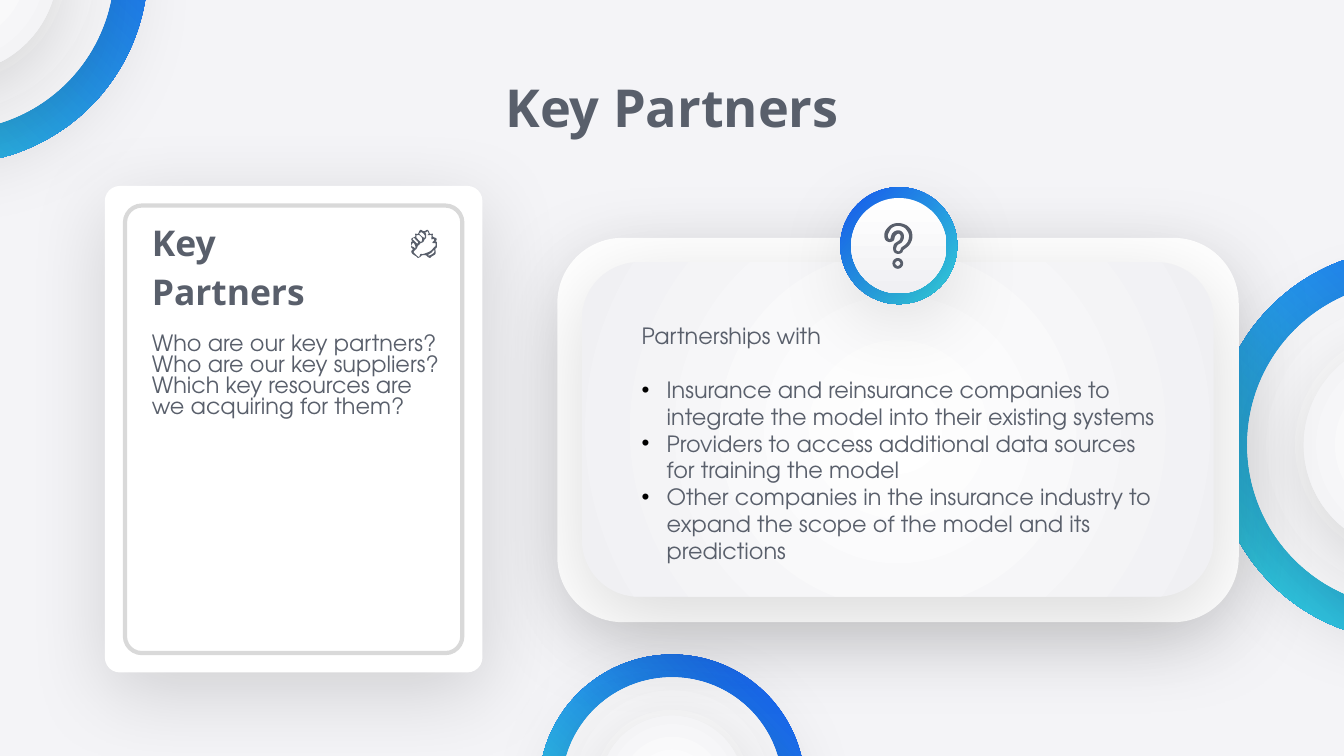
from dataclasses import dataclass

import pptx
import pptx.dml.color
import pptx.enum.shapes
import pptx.enum.text
import pptx.oxml
import pptx.oxml.ns
import pptx.util

Pt = pptx.util.Pt
MSO = pptx.enum.shapes.MSO_SHAPE
qn = pptx.oxml.ns.qn
NS = pptx.oxml.ns.nsdecls("a")


@dataclass(frozen=True)
class Theme:
    ink: str = "595F6B"
    page: str = "F4F4F7"
    white: str = "FFFFFF"
    frame: str = "D9D9D9"
    bullet: str = "000000"
    ring: tuple = ("1658F1", "36DBE0")
    soft: tuple = ("FFFFFF", "F0F0F3")
    heading: str = "Noto Sans"
    body: str = "TeX Gyre Adventor"
    title_size: float = 28
    card_size: float = 19
    body_size: float = 12


@dataclass(frozen=True)
class Box:
    x: float
    y: float
    w: float
    h: float

    def emu(self) -> tuple:
        return Pt(self.x), Pt(self.y), Pt(self.w), Pt(self.h)


@dataclass(frozen=True)
class Ring:
    cx: float
    cy: float
    diameters: tuple  # coloured rim, face, core


@dataclass(frozen=True)
class Icon:
    x: float
    y: float
    contours: tuple  # closed outlines on a grid of GRID points


THEME = Theme()
GRID = 0.72
RINGS = (
    Ring(-25.92, -17.28, (210.24, 174.24, 113.76)),
    Ring(755.28, 238.32, (210.24, 174.24, 113.76)),
    Ring(360, 421.92, (142.56, 118.08, 77.04)),
)
CARD = Box(56.16, 99.6, 202.32, 260.64)
CARD_FRAME = Box(66.96, 110.16, 180.72, 239.76)
PANEL = Box(298.6, 127.44, 365.04, 205.92)
PANEL_FACE = Box(311.76, 140.4, 338.4, 179.28)
BADGE = Box(450.2, 100.3, 62.64, 62.64)
BADGE_FACE = Box(455.96, 106.06, 51.12, 51.12)

HANDS = Icon(219.6, 123.12, (
    ((8, 0), (7, 1), (6, 3), (4, 3), (4, 5), (2, 6), (1, 7), (2, 9), (1, 9), (1, 13),
     (2, 14), (2, 15), (1, 16), (2, 18), (5, 20), (6, 21), (8, 20), (9, 19), (12, 19),
     (13, 20), (15, 21), (16, 20), (19, 18), (19, 15), (19, 14), (20, 13), (20, 9),
     (19, 9), (20, 7), (19, 6), (17, 5), (17, 3), (15, 3), (14, 1), (13, 0), (11, 1), (10, 1)),
    ((13, 1), (14, 3), (13, 4), (14, 4), (16, 4), (16, 6), (16, 7), (17, 7), (18, 7),
     (18, 8), (17, 9), (17, 10), (19, 10), (19, 12), (18, 13), (15, 16), (10, 18), (8, 18),
     (7, 20), (6, 20), (3, 17), (3, 16), (4, 15), (5, 14), (6, 12), (7, 11), (8, 10),
     (10, 9), (11, 7), (12, 6), (12, 3), (11, 2), (12, 2)),
    ((8, 2), (9, 2), (11, 4), (11, 6), (9, 5), (7, 3)),
    ((6, 4), (7, 4), (9, 6), (9, 8), (8, 9), (5, 6), (5, 4)),
    ((3, 6), (4, 7), (6, 9), (6, 10), (5, 10), (3, 8), (2, 7)),
    ((2, 10), (3, 10), (4, 12), (4, 14), (3, 13), (1, 12)),
    ((18, 15), (18, 17), (15, 19), (14, 19), (13, 19), (16, 17)),
))
QUESTION_HOOK = Icon(473.76, 119.52, (
    ((10.3, 0), (6, 0.9), (3, 3), (0.6, 6.2), (0, 10), (1.2, 13), (4, 14.2), (7, 13),
     (8, 10), (10, 8), (12, 9), (11.5, 12.5), (7.5, 15.5), (6.6, 19), (7.6, 22),
     (10.5, 23), (13.2, 22), (14.3, 20), (18.5, 16.5), (20.8, 11.5), (20.3, 6),
     (17.6, 2.5), (14.5, 0.8)),
    ((10.3, 2.1), (14, 3), (16.6, 5.2), (18.4, 9), (17.8, 13), (16, 15.8), (12.8, 18.2),
     (11.8, 20.4), (10.5, 21.1), (9, 20.4), (8.9, 18.6), (10, 16.3), (13, 14.4),
     (14.6, 11), (14, 7.5), (11.5, 5.6), (8.5, 5.8), (6, 7.6), (5, 10), (4.4, 11.8),
     (3.2, 11.5), (2.6, 9), (4.6, 4.8), (7, 2.8)),
))
QUESTION_DOT = Icon(473.76, 119.52, (
    ((10, 26), (7.2, 27.2), (6, 30), (7.2, 32.8), (10, 34), (12.8, 32.8), (14, 30), (12.8, 27.2)),
    ((10, 28), (8, 30), (10, 32), (12, 30)),
))


def rgb(value: str) -> pptx.dml.color.RGBColor:
    return pptx.dml.color.RGBColor.from_string(value)


def add_shadow(sp) -> None:
    effects = sp._element.spPr.find(qn("a:effectLst"))
    effects.append(pptx.oxml.parse_xml(
        f'<a:outerShdw {NS} blurRad="{Pt(45)}" dist="{Pt(11.2)}" dir="{85 * 60000}" '
        'algn="tl" rotWithShape="0"><a:srgbClr val="000000"><a:alpha val="15000"/>'
        '</a:srgbClr></a:outerShdw>'))


def add_gradient(sp, colours: tuple, angle: float | None) -> None:
    """Linear at a clockwise angle, or radial when the angle is None."""
    sp.fill.gradient()
    for stop, colour in zip(sp.fill.gradient_stops, colours):
        stop.color.rgb = rgb(colour)
    if angle is not None:
        sp.fill.gradient_angle = 360 - angle
        return
    grad = sp._element.spPr.find(qn("a:gradFill"))
    grad.replace(grad.find(qn("a:lin")), pptx.oxml.parse_xml(
        f'<a:path {NS} path="circle"><a:fillToRect l="50000" t="50000" '
        'r="50000" b="50000"/></a:path>'))


def add_shape(s, kind, box: Box, colours=None, angle=None, shadow=False, corner=None):
    sp = s.shapes.add_shape(kind, *box.emu())
    sp.shadow.inherit = False
    sp.line.fill.background()
    if corner is not None:
        sp.adjustments[0] = corner
    if colours is None:
        sp.fill.background()
    elif isinstance(colours, str):
        sp.fill.solid()
        sp.fill.fore_color.rgb = rgb(colours)
    else:
        add_gradient(sp, colours, angle)
    if shadow:
        add_shadow(sp)
    return sp


def add_ring(s, ring: Ring) -> None:
    for i, d in enumerate(ring.diameters):
        box = Box(ring.cx - d / 2, ring.cy - d / 2, d, d)
        rim = i == 0
        sp = add_shape(s, MSO.OVAL, box, THEME.ring if rim else THEME.soft,
                       45 if rim else None, shadow=not rim)
        sp.rotation = 90


def smooth(points: tuple, steps: int = 4) -> list:
    """Closed Catmull-Rom curve through the points."""
    n, curve = len(points), []
    for i in range(n):
        around = [points[(i + k) % n] for k in (-1, 0, 1, 2)]
        for t in (k / steps for k in range(steps)):
            curve.append(tuple(
                b + (t * (c - a) + t**2 * (2 * a - 5 * b + 4 * c - d)
                     + t**3 * (3 * b - a - 3 * c + d)) / 2
                for a, b, c, d in zip(*around)))
    return curve


def add_icon(s, icon: Icon) -> None:
    builder = None
    for contour in icon.contours:
        points = [(Pt(icon.x + GRID * x), Pt(icon.y + GRID * y)) for x, y in smooth(contour)]
        if builder is None:
            builder = s.shapes.build_freeform(*points[0], scale=1.0)
        else:
            builder.move_to(*points[0])
        builder.add_line_segments(points[1:], close=True)
    sp = builder.convert_to_shape()
    sp.shadow.inherit = False
    sp.fill.solid()
    sp.fill.fore_color.rgb = rgb(THEME.ink)
    sp.line.fill.background()


def add_text(tf, lines: list, font: str, size: float, bold=False, first=False) -> list:
    paragraphs = []
    for i, line in enumerate(lines):
        p = tf.paragraphs[0] if first and i == 0 else tf.add_paragraph()
        p.text = line
        p.font.name, p.font.size, p.font.bold = font, Pt(size), bold
        p.font.color.rgb = rgb(THEME.ink)
        paragraphs.append(p)
    return paragraphs


def set_insets(target, left: float = 7.2) -> None:
    target.margin_left = Pt(left)
    target.margin_top = target.margin_right = target.margin_bottom = Pt(7.2)


def add_bullet(p) -> None:
    pPr = p._p.get_or_add_pPr()
    pPr.set("marL", str(Pt(13.5)))
    pPr.set("indent", str(-Pt(13.5)))
    for xml in (f'<a:buClr {NS}><a:srgbClr val="{THEME.bullet}"/></a:buClr>',
                f'<a:buFont {NS} typeface="Arial"/>', f'<a:buChar {NS} char="•"/>'):
        pPr.insert_element_before(pptx.oxml.parse_xml(xml), "a:tabLst", "a:defRPr", "a:extLst")


def add_card_table(s) -> None:
    table = s.shapes.add_table(6, 2, *CARD_FRAME.emu()).table
    table.first_row = table.horz_banding = False
    style = table._tbl.tblPr.find(qn("a:tableStyleId"))
    style.text = "{2D5ABB26-0587-4C30-8999-92F81FD0307C}"  # no style, no grid
    for cell in table.iter_cells():
        cell.fill.background()
    cell = table.cell(0, 0)
    cell.merge(table.cell(5, 1))
    set_insets(cell, 14.4)
    add_text(cell.text_frame, ["Key", "Partners"], THEME.heading, THEME.card_size, True, True)
    questions = add_text(cell.text_frame, [
        "Who are our key partners?", "Who are our key suppliers?",
        "Which key resources are we acquiring for them?"], THEME.body, THEME.body_size)
    questions[0].space_before = Pt(10.5)


def main() -> None:
    prs = pptx.Presentation()
    prs.slide_width, prs.slide_height = Pt(720), Pt(405)
    s = prs.slides.add_slide(prs.slide_layouts[5])
    s.background.fill.solid()
    s.background.fill.fore_color.rgb = rgb(THEME.page)

    # Title
    title = s.shapes.title
    title.left, title.top, title.width, title.height = Box(56.16, 42.48, 607.68, 29.52).emu()
    tf = title.text_frame
    tf.auto_size = pptx.enum.text.MSO_AUTO_SIZE.NONE
    tf.vertical_anchor = pptx.enum.text.MSO_ANCHOR.MIDDLE
    set_insets(tf)
    p = add_text(tf, ["Key Partners"], THEME.heading, THEME.title_size, True, True)[0]
    p.alignment = pptx.enum.text.PP_ALIGN.CENTER

    # Decorative rings
    for ring in RINGS:
        add_ring(s, ring)

    # Question card
    add_shape(s, MSO.ROUNDED_RECTANGLE, CARD, THEME.white, shadow=True, corner=0.04)
    frame = add_shape(s, MSO.ROUNDED_RECTANGLE, CARD_FRAME, corner=0.05)
    frame.line.color.rgb = rgb(THEME.frame)
    frame.line.width = Pt(2.25)
    add_card_table(s)
    add_icon(s, HANDS)

    # Answer panel
    add_shape(s, MSO.ROUNDED_RECTANGLE, PANEL, THEME.white, shadow=True, corner=0.17)
    add_shape(s, MSO.ROUNDED_RECTANGLE, PANEL_FACE, THEME.soft, shadow=True, corner=0.17)
    tf = s.shapes.add_textbox(*Box(336.6, 165.4, 295.2, 130.32).emu()).text_frame
    tf.word_wrap = True
    set_insets(tf)
    add_text(tf, ["Partnerships with"], THEME.body, THEME.body_size, first=True)
    partners = add_text(tf, [
        "Insurance and reinsurance companies to integrate the model into their existing systems",
        "Providers to access additional data sources for training the model",
        "Other companies in the insurance industry to expand the scope of the model and its "
        "predictions"], THEME.body, THEME.body_size)
    partners[0].space_before = Pt(14.4)
    for p in partners:
        add_bullet(p)

    # Question badge
    add_shape(s, MSO.OVAL, BADGE, THEME.ring, 45)
    add_shape(s, MSO.OVAL, BADGE_FACE, THEME.soft, 90, shadow=True)
    add_icon(s, QUESTION_HOOK)
    add_icon(s, QUESTION_DOT)

    prs.save("out.pptx")


if __name__ == "__main__":
    main()
